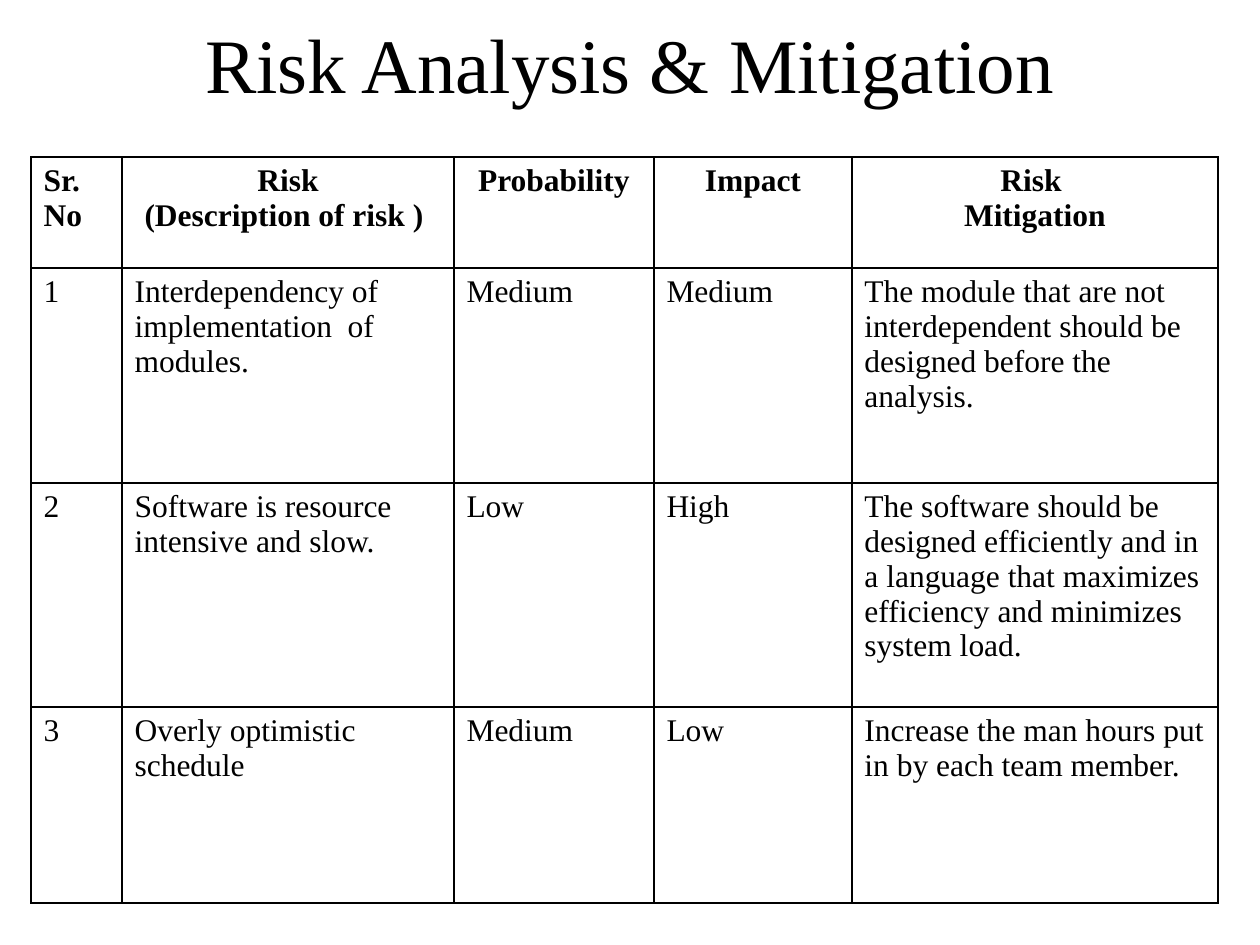
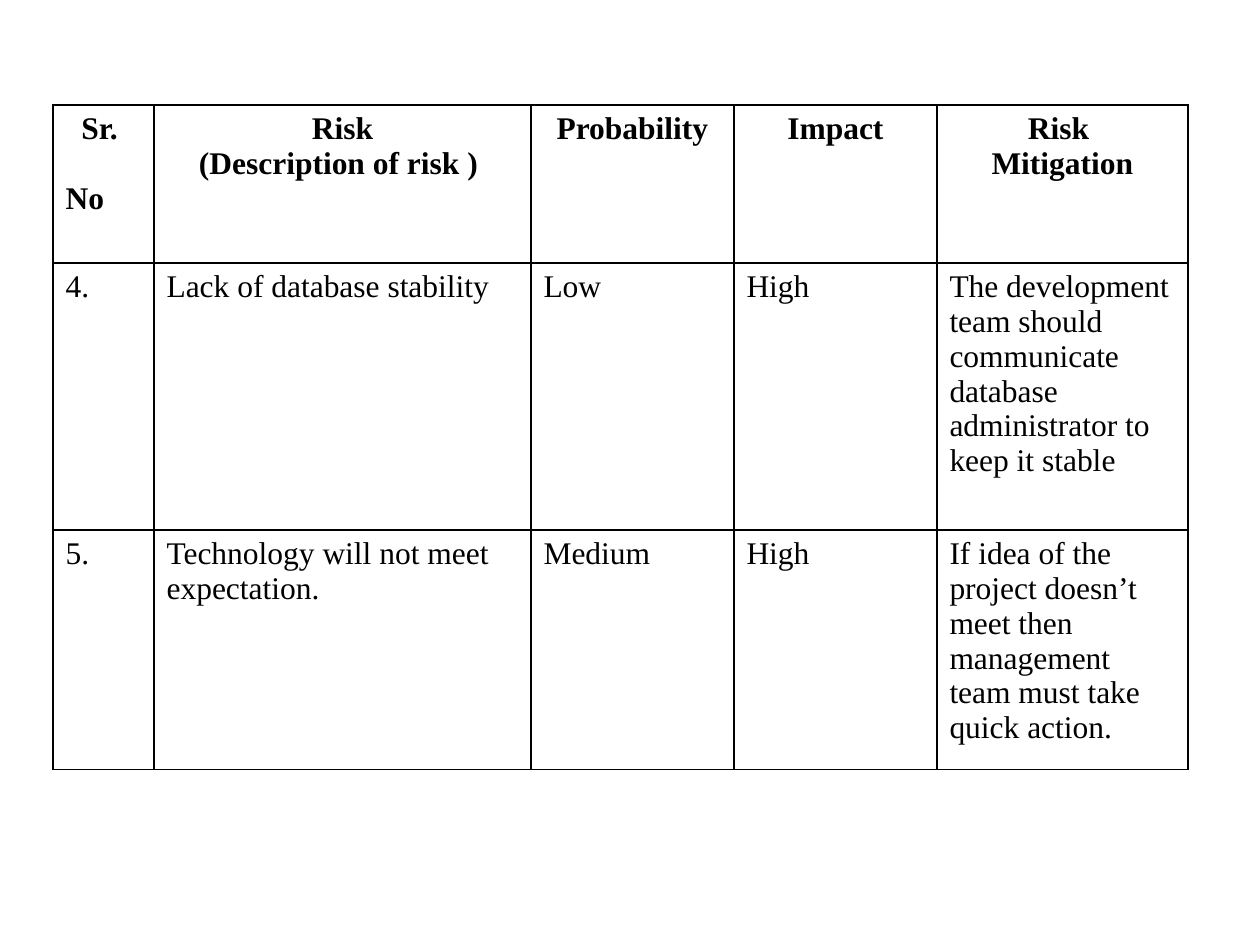
from dataclasses import dataclass

from pptx import Presentation
from pptx.dml.color import RGBColor
from pptx.enum.text import MSO_ANCHOR, PP_ALIGN
from pptx.oxml.ns import qn
from pptx.util import Emu, Pt
from lxml import etree

LEFT, CENTER = PP_ALIGN.LEFT, PP_ALIGN.CENTER
MIDDLE = MSO_ANCHOR.MIDDLE
PX_PER_INCH = 126
BLANK_LAYOUT = 6


@dataclass(frozen=True)
class Theme:
    font: str = "Times New Roman"
    ink: str = "000000"
    paper: str = "FFFFFF"
    title_size: int = 44
    cell_size: int = 18
    header_gap: int = 20
    border: int = 1


@dataclass(frozen=True)
class RiskTable:
    left: int
    top: int
    cols: tuple[int, ...]
    rows: tuple[int, ...]
    number_header: str
    number_align: PP_ALIGN
    risks: tuple[tuple[str, ...], ...]


THEME = Theme()
HEADERS = ("Risk\n(Description of risk ) ", "Probability", "Impact", "Risk \nMitigation")

FIRST_RISKS = RiskTable(
    31, 157, (91, 332, 200, 198, 366), (111, 215, 224, 196), "Sr. No", LEFT,
    (
        ("1", "Interdependency of implementation  of modules.", "Medium", "Medium",
         "The module that are not interdependent should be designed before the analysis."),
        ("2", "Software is resource intensive and slow.", "Low", "High",
         "The software should be designed efficiently and in a language that "
         "maximizes efficiency and minimizes system load."),
        ("3", "Overly optimistic schedule", "Medium", "Low",
         "Increase the man hours put in by each team member."),
    ),
)
LATER_RISKS = RiskTable(
    53, 105, (101, 377, 203, 203, 251), (158, 267, 231), "Sr. \nNo", CENTER,
    (
        ("4.", "Lack of database stability", "Low", "High",
         "The development team should communicate database administrator to keep it stable"),
        ("5.", "Technology will not meet expectation.", "Medium", "High",
         "If idea of the project doesn’t meet then management team must take quick action."),
    ),
)


def px(n: int) -> Emu:
    return Emu(n * 914400 // PX_PER_INCH)


def write(tf, text: str, *, size: int = THEME.cell_size, bold: bool = False,
          align: PP_ALIGN = LEFT) -> None:
    for i, line in enumerate(text.split("\n")):
        p = tf.add_paragraph() if i else tf.paragraphs[0]
        p.alignment = align
        r = p.add_run()
        r.text = line
        r.font.name = THEME.font
        r.font.size = Pt(size)
        r.font.bold = bold
        r.font.color.rgb = RGBColor.from_string(THEME.ink)


def style_cell(cell) -> None:
    tc_pr = cell._tc.get_or_add_tcPr()
    for side in ("lnL", "lnR", "lnT", "lnB"):
        ln = etree.SubElement(tc_pr, qn(f"a:{side}"), w=str(Pt(THEME.border)))
        fill = etree.SubElement(ln, qn("a:solidFill"))
        etree.SubElement(fill, qn("a:srgbClr"), val=THEME.ink)
    cell.fill.solid()
    cell.fill.fore_color.rgb = RGBColor.from_string(THEME.paper)


def add_title(s, text: str) -> None:
    tf = s.shapes.add_textbox(px(73), px(0), px(1134), px(126)).text_frame
    tf.word_wrap = True
    tf.vertical_anchor = MIDDLE
    tf.margin_left = tf.margin_right = tf.margin_top = tf.margin_bottom = 0
    write(tf, text, size=THEME.title_size, align=CENTER)


def add_risk_table(s, spec_table: RiskTable) -> None:
    t = spec_table
    table = s.shapes.add_table(len(t.rows), len(t.cols), px(t.left), px(t.top),
                               px(sum(t.cols)), px(sum(t.rows))).table
    table.first_row = table.horz_banding = False
    for col, width in zip(table.columns, t.cols):
        col.width = px(width)
    for row, height in zip(table.rows, t.rows):
        row.height = px(height)
    for i, texts in enumerate(((t.number_header, *HEADERS), *t.risks)):
        for j, text in enumerate(texts):
            cell = table.cell(i, j)
            style_cell(cell)
            align = LEFT if i else CENTER if j else t.number_align
            write(cell.text_frame, text, bold=i == 0, align=align)
    number_lines = table.cell(0, 0).text_frame.paragraphs
    for p in number_lines[1:]:
        p.alignment = LEFT
        p.space_before = Pt(THEME.header_gap)


def main() -> None:
    prs = Presentation()
    prs.slide_width, prs.slide_height = px(1260), px(945)
    for title, risk_table in (("Risk Analysis & Mitigation ", FIRST_RISKS), ("", LATER_RISKS)):
        s = prs.slides.add_slide(prs.slide_layouts[BLANK_LAYOUT])
        s.background.fill.solid()
        s.background.fill.fore_color.rgb = RGBColor.from_string(THEME.paper)
        if title:
            add_title(s, title)
        add_risk_table(s, risk_table)
    prs.save("out.pptx")


if __name__ == "__main__":
    main()
